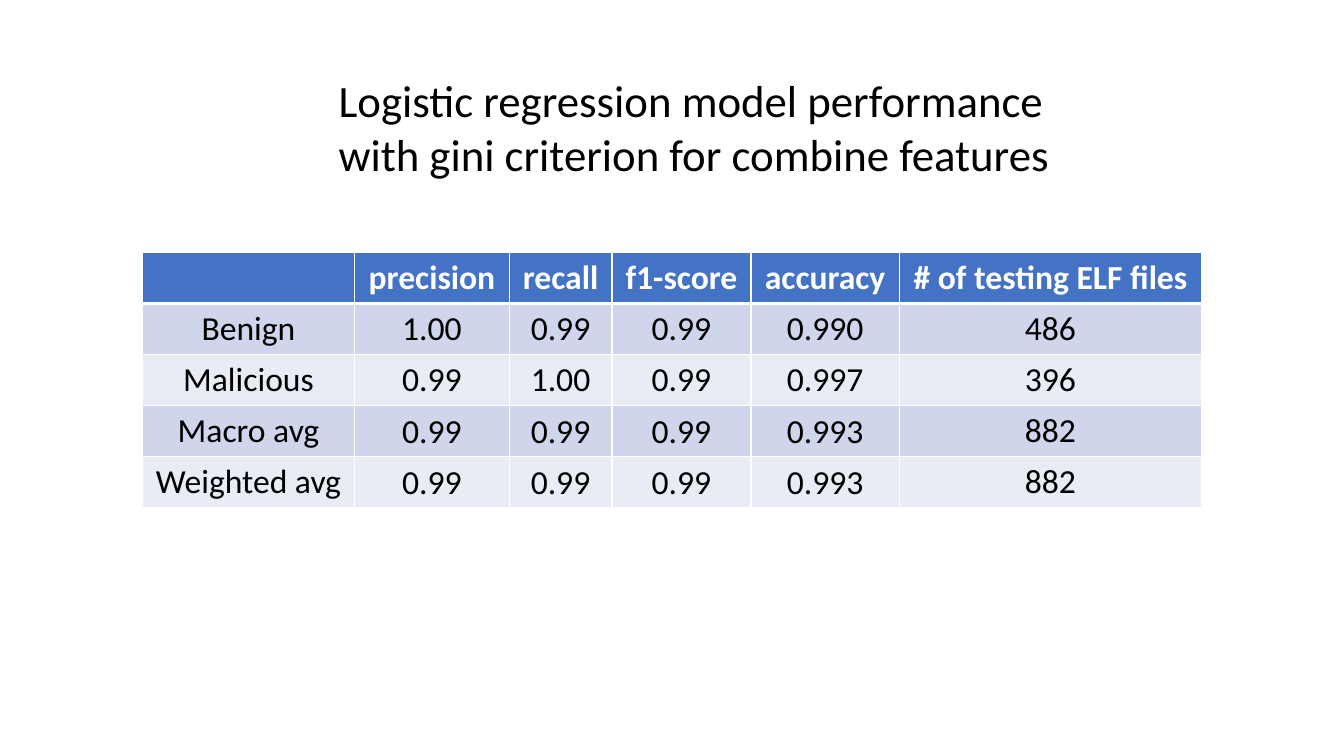
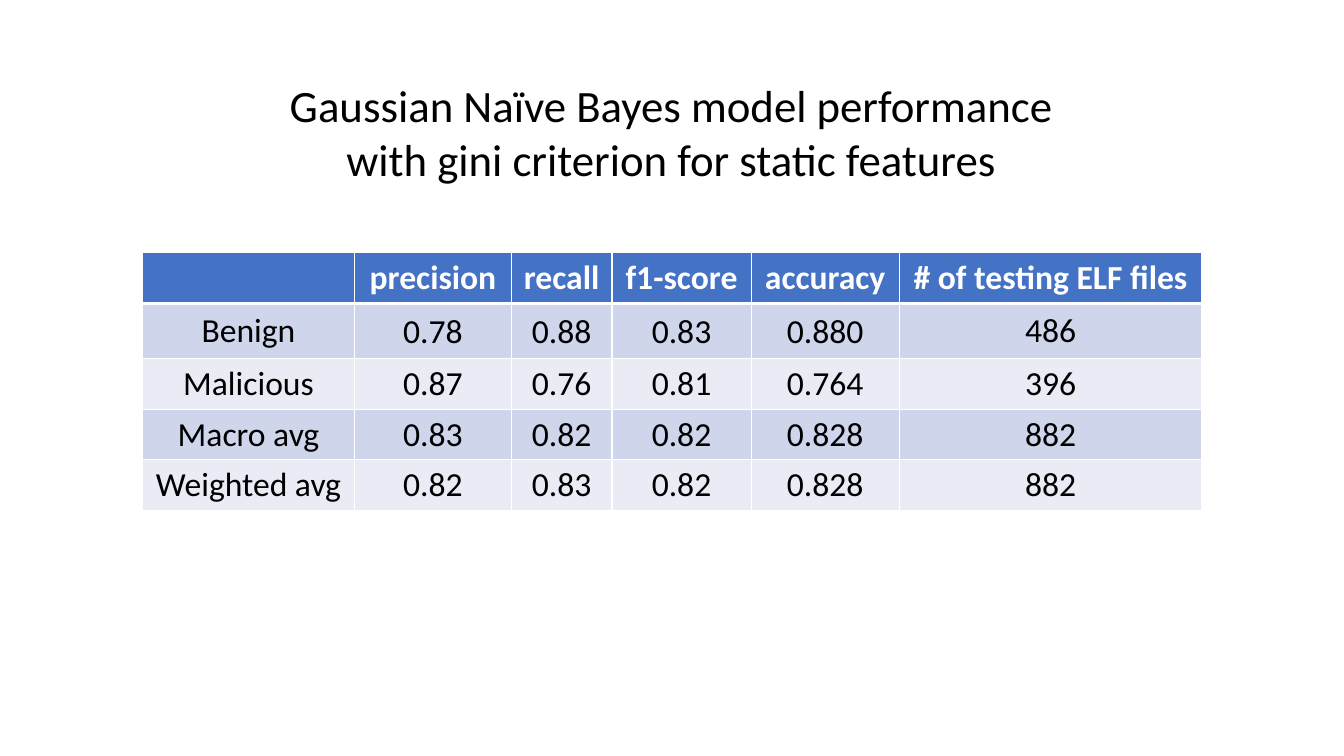
from dataclasses import dataclass

from lxml.etree import SubElement
from pptx import Presentation
from pptx.dml.color import RGBColor
from pptx.enum.text import MSO_ANCHOR, MSO_AUTO_SIZE, PP_ALIGN
from pptx.oxml.ns import qn
from pptx.util import Inches, Pt


@dataclass(frozen=True)
class Theme:
    font: str = "Calibri"
    title_size: int = 32
    table_size: int = 24
    text: str = "000000"
    header_text: str = "FFFFFF"
    header_fill: str = "4472C4"
    band_fills: tuple = ("CFD5EA", "E9EBF5")
    border: str = "FFFFFF"
    thin: int = 1
    thick: int = 3


HEADERS = ["", "precision", "recall", "f1-score", "accuracy", "# of testing ELF files"]
LABELS = ["Benign", "Malicious", "Macro avg", "Weighted avg"]
FILE_COUNTS = ["486", "396", "882", "882"]
SCORE_COLUMNS = range(1, 5)
TABLE_LEFT, TABLE_TOP = 1.41, 2.5


class Deck:
    def __init__(self, theme):
        self.theme = theme
        self.prs = Presentation()
        self.prs.slide_width = Inches(13.33)
        self.prs.slide_height = Inches(7.5)
        self.s = None

    def new_slide(self):
        self.s = self.prs.slides.add_slide(self.prs.slide_layouts[6])

    def style(self, p, size, color, bold=False, align=PP_ALIGN.LEFT):
        p.alignment = align
        for r in p.runs:
            r.font.name = self.theme.font
            r.font.size = Pt(size)
            r.font.bold = bold
            r.font.color.rgb = RGBColor.from_string(color)

    def title(self, text, left, top, width, align, wrap):
        sp = self.s.shapes.add_textbox(Inches(left), Inches(top), Inches(width), Inches(1.18))
        tf = sp.text_frame
        tf.word_wrap = wrap
        tf.auto_size = MSO_AUTO_SIZE.SHAPE_TO_FIT_TEXT
        tf.text = text
        for p in tf.paragraphs:
            self.style(p, self.theme.title_size, self.theme.text, align=align)

    def borders(self, cell, top, bottom):
        tc_pr = cell._tc.get_or_add_tcPr()
        thin = self.theme.thin
        for side, width in zip("LRTB", (thin, thin, top, bottom)):
            ln = SubElement(tc_pr, qn(f"a:ln{side}"), w=str(Pt(width)))
            fill = SubElement(ln, qn("a:solidFill"))
            SubElement(fill, qn("a:srgbClr"), val=self.theme.border)

    def cell(self, cell, text, row, is_score):
        t = self.theme
        header = row == 0
        self.borders(cell, t.thick if row == 1 else t.thin, t.thick if header else t.thin)
        fill = t.header_fill if header else t.band_fills[(row - 1) % 2]
        cell.fill.solid()
        cell.fill.fore_color.rgb = RGBColor.from_string(fill)
        cell.vertical_anchor = MSO_ANCHOR.MIDDLE
        if is_score and not header:
            cell.margin_left = cell.margin_right = cell.margin_top = Inches(0.01)
            cell.margin_bottom = 0
        cell.text_frame.text = text
        color = t.header_text if header else t.text
        self.style(cell.text_frame.paragraphs[0], t.table_size, color, header, PP_ALIGN.CENTER)

    def score_table(self, scores, widths, heights):
        body = [[label, *values, count]
                for label, values, count in zip(LABELS, scores, FILE_COUNTS)]
        rows = [HEADERS, *body]
        table = self.s.shapes.add_table(
            len(rows), len(HEADERS), Inches(TABLE_LEFT), Inches(TABLE_TOP),
            Inches(sum(widths)), Inches(sum(heights))).table
        for column, width in zip(table.columns, widths):
            column.width = Inches(width)
        for i, (values, height) in enumerate(zip(rows, heights)):
            table.rows[i].height = Inches(height)
            for j, text in enumerate(values):
                self.cell(table.cell(i, j), text, i, j in SCORE_COLUMNS)


def main():
    deck = Deck(Theme())

    deck.new_slide()
    deck.score_table(
        [["1.00", "0.99", "0.99", "0.990"],
         ["0.99", "1.00", "0.99", "0.997"],
         ["0.99", "0.99", "0.99", "0.993"],
         ["0.99", "0.99", "0.99", "0.993"]],
        [2.11, 1.53, 1.02, 1.38, 1.47, 3],
        [0.51, 0.5, 0.5, 0.5, 0.5])
    deck.title(
        "Logistic regression model performance\nwith gini criterion for combine features",
        3.26, 0.67, 7.43, PP_ALIGN.LEFT, wrap=False)

    deck.new_slide()
    deck.score_table(
        [["0.78", "0.88", "0.83", "0.880"],
         ["0.87", "0.76", "0.81", "0.764"],
         ["0.83", "0.82", "0.82", "0.828"],
         ["0.82", "0.83", "0.82", "0.828"]],
        [2.11, 1.55, 1, 1.38, 1.47, 3],
        [0.51, 0.55, 0.5, 0.5, 0.5])
    deck.title(
        "Gaussian Naïve Bayes model performance with gini criterion for static features",
        2.38, 0.72, 8.56, PP_ALIGN.CENTER, wrap=True)

    deck.prs.save("out.pptx")


if __name__ == "__main__":
    main()
